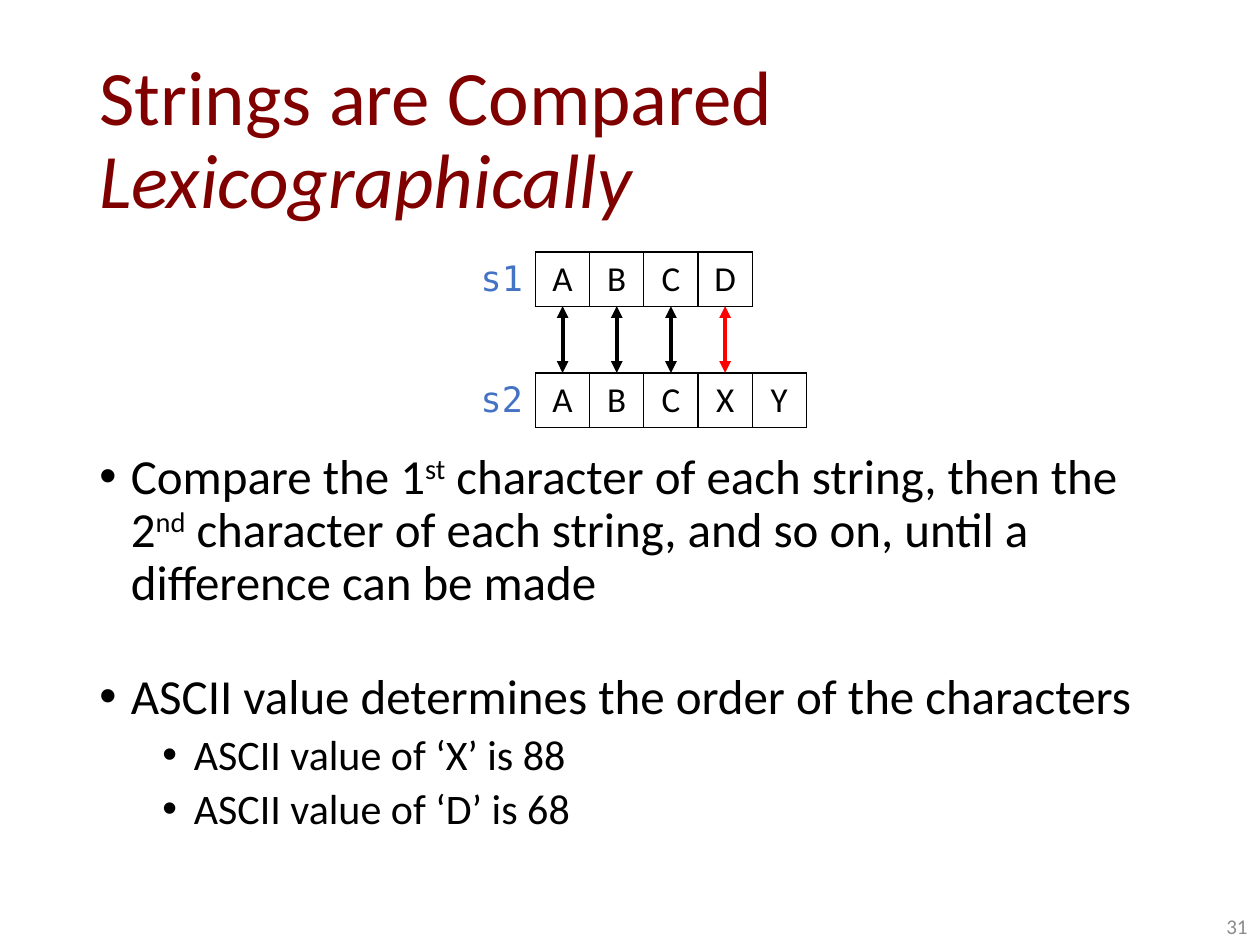
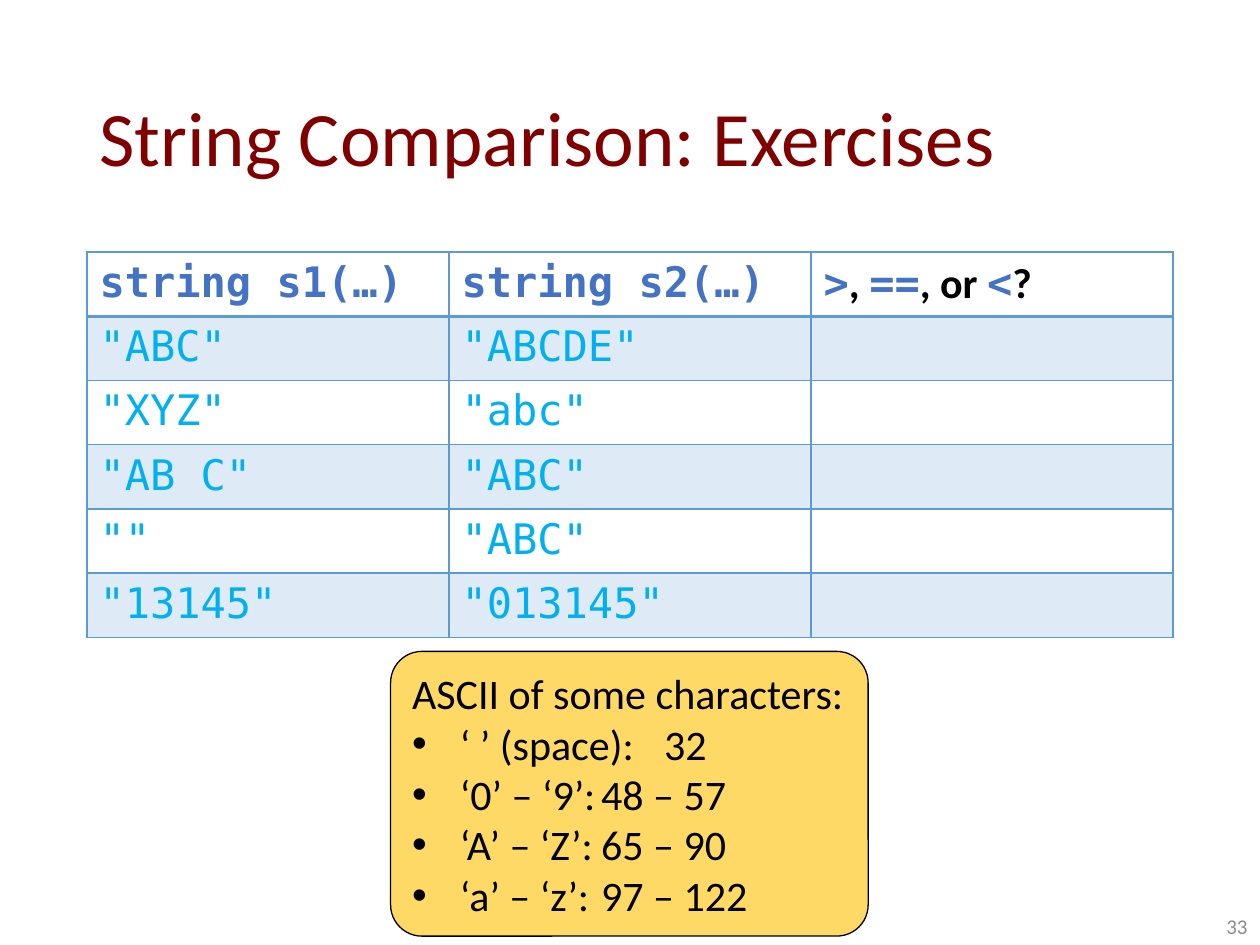
from lxml.etree import SubElement
from pptx import Presentation
from pptx.dml.color import RGBColor
from pptx.enum.shapes import MSO_CONNECTOR as Connector, MSO_SHAPE as Shape
from pptx.enum.text import MSO_ANCHOR as Anchor, MSO_AUTO_SIZE as AutoSize, PP_ALIGN as Align
from pptx.oxml.ns import qn
from pptx.util import Inches, Pt

rgb = RGBColor.from_string
SANS, MONO = "Calibri", "DejaVu Sans Mono"
BLACK, WHITE, MAROON, GREY = "000000", "FFFFFF", "800000", "8C8C8C"
KEYWORD, LITERAL, MISMATCH = "4472C4", "00B0F0", "FF0000"
RULE, BAND, NOTE = "5B9BD5", "DEEAF6", "FFD966"


def write(paragraph, runs, size, font=SANS, color=BLACK, indent=None, hang=0.25):
    if indent is not None:
        props = paragraph._p.get_or_add_pPr()
        props.set("marL", str(Inches(indent)))
        props.set("indent", str(Inches(-hang)))
        SubElement(props, qn("a:buFont"), typeface="Arial")
        SubElement(props, qn("a:buChar"), char="•")
    for text, style in runs:
        run = paragraph.add_run()
        run.text = text
        run.font.size = Pt(size)
        run.font.name = style.get("font", font)
        run.font.color.rgb = rgb(style.get("color", color))
        run.font.bold = style.get("bold", False)
        run.font.italic = style.get("italic", False)
        if "raised" in style:
            run._r.get_or_add_rPr().set("baseline", "30000")


def fill_cell(cell, fill, color, widths):
    cell.fill.solid()
    cell.fill.fore_color.rgb = rgb(fill)
    props = cell._tc.get_or_add_tcPr()
    for position, (side, width) in enumerate(zip("LRTB", widths)):
        line = SubElement(props, qn(f"a:ln{side}"), w=str(Pt(width)))
        if width:
            solid = SubElement(line, qn("a:solidFill"))
            SubElement(solid, qn("a:srgbClr"), val=color)
        else:
            SubElement(line, qn("a:noFill"))
        props.insert(position, line)


prs = Presentation()
prs.slide_width, prs.slide_height = Inches(10), Inches(7.5)

headings = [
    ("31", [("Strings are Compared ", {}), ("Lexicographically", {"italic": True})]),
    ("33", [("String Comparison: Exercises", {})]),
]
slides = []
for number, heading in headings:
    slide = prs.slides.add_slide(prs.slide_layouts[6])
    slides.append(slide)
    title = slide.shapes.add_textbox(Inches(0.69), Inches(0.4), Inches(8.62), Inches(1.45)).text_frame
    title.word_wrap = True
    title.vertical_anchor = Anchor.MIDDLE
    title.paragraphs[0].line_spacing = 0.9
    write(title.paragraphs[0], heading, 44, color=MAROON)
    footer = slide.shapes.add_textbox(Inches(7.75), Inches(7.1), Inches(2.25), Inches(0.4)).text_frame
    footer.word_wrap = True
    footer.vertical_anchor = Anchor.BOTTOM
    footer.paragraphs[0].alignment = Align.RIGHT
    write(footer.paragraphs[0], [(number, {})], 12, color=GREY)
comparison, exercises = slides

rules = comparison.shapes.add_textbox(Inches(0.69), Inches(3.54), Inches(8.62), Inches(3.21)).text_frame
rules.word_wrap = True
raised = {"raised": True}
points = [
    (28, 0.25, 0, [
        ("Compare the 1", {}), ("st", raised),
        (" character of each string, then the 2", {}), ("nd", raised),
        (" character of each string, and so on, until a difference can be made", {}),
    ]),
    (28, 0.25, 35, [("ASCII value determines the order of the characters", {})]),
    (24, 0.75, 5, [("ASCII value of ‘X’ is 88", {})]),
    (24, 0.75, 5, [("ASCII value of ‘D’ is 68", {})]),
]
for index, (size, indent, gap, runs) in enumerate(points):
    point = rules.add_paragraph() if index else rules.paragraphs[0]
    point.line_spacing = 0.9
    point.space_before = Pt(gap)
    write(point, runs, size, indent=indent)

label_left, label_width, letter_width, row_height = 3.59, 0.66, 0.43, 0.43
first_top, second_top = 2, 2.96
for name, letters, top in [("s1", "ABCD", first_top), ("s2", "ABCXY", second_top)]:
    total = label_width + letter_width * len(letters)
    string_row = comparison.shapes.add_table(
        1, len(letters) + 1, Inches(label_left), Inches(top), Inches(total), Inches(row_height)).table
    string_row.first_row = string_row.horz_banding = False
    for column, text in enumerate([name, *letters]):
        string_row.columns[column].width = Inches(letter_width if column else label_width)
        cell = string_row.cell(0, column)
        cell.vertical_anchor = Anchor.MIDDLE
        cell.text_frame.paragraphs[0].alignment = Align.CENTER if column else Align.RIGHT
        font, color = (SANS, BLACK) if column else (MONO, KEYWORD)
        write(cell.text_frame.paragraphs[0], [(text, {})], 20, font, color)
        fill_cell(cell, WHITE, BLACK, [0.75] * 4 if column else [0, 0.75, 0, 0])

for position, color in enumerate([BLACK, BLACK, BLACK, MISMATCH]):
    center = Inches(label_left + label_width + letter_width * (position + 0.5))
    match = comparison.shapes.add_connector(
        Connector.STRAIGHT, center, Inches(first_top + row_height), center, Inches(second_top))
    match.line.color.rgb = rgb(color)
    match.line.width = Pt(2.25)
    line = match.line._get_or_add_ln()
    for end in ("headEnd", "tailEnd"):
        SubElement(line, qn(f"a:{end}"), type="triangle")
    SubElement(match._element.spPr, qn("a:effectLst"))

plain = {"font": SANS, "color": BLACK, "bold": True}
bold = {"bold": True}
header = [
    [("string s1(…)", bold)],
    [("string s2(…)", bold)],
    [(">", bold), (", ", plain), ("==", bold), (", or ", plain), ("<", bold), ("?", plain)],
]
pairs = [
    ('"ABC"', '"ABCDE"'),
    ('"XYZ"', '"abc"'),
    ('"AB C"', '"ABC"'),
    ('""', '"ABC"'),
    ('"13145"', '"013145"'),
]
rows = [header] + [[[(text, {})] for text in pair] + [[]] for pair in pairs]
quiz = exercises.shapes.add_table(
    len(rows), 3, Inches(0.69), Inches(2), Inches(8.62), Inches(0.51 * len(rows))).table
quiz.first_row = quiz.horz_banding = False
for r, row in enumerate(rows):
    for c, runs in enumerate(row):
        cell = quiz.cell(r, c)
        write(cell.text_frame.paragraphs[0], runs, 24, MONO, LITERAL if r else KEYWORD)
        fill_cell(cell, BAND if r % 2 else WHITE, RULE,
                  [1, 1, 2 if r == 1 else 1, 2 if r == 0 else 1])

ascii_box = exercises.shapes.add_shape(
    Shape.ROUNDED_RECTANGLE, Inches(3.1), Inches(5.17), Inches(3.79), Inches(2.26))
ascii_box.adjustments[0] = 0.11
ascii_box.shadow.inherit = False
ascii_box.fill.solid()
ascii_box.fill.fore_color.rgb = rgb(NOTE)
ascii_box.line.color.rgb = rgb(BLACK)
ascii_box.line.width = Pt(0.75)
codes = ascii_box.text_frame
codes.word_wrap = False
codes.auto_size = AutoSize.SHAPE_TO_FIT_TEXT
codes.vertical_anchor = Anchor.MIDDLE
codes.paragraphs[0].alignment = Align.LEFT
write(codes.paragraphs[0], [("ASCII of some characters:", {})], 24)
for characters, values in [
    ("‘ ’ (space):", "32"),
    ("‘0’ – ‘9’:", "48 – 57"),
    ("‘A’ – ‘Z’:", "65 – 90"),
    ("‘a’ – ‘z’:", "97 – 122"),
]:
    entry = codes.add_paragraph()
    entry.alignment = Align.LEFT
    write(entry, [(f"{characters}\t{values}", {})], 24, indent=0.38, hang=0.38)

prs.save("out.pptx")
